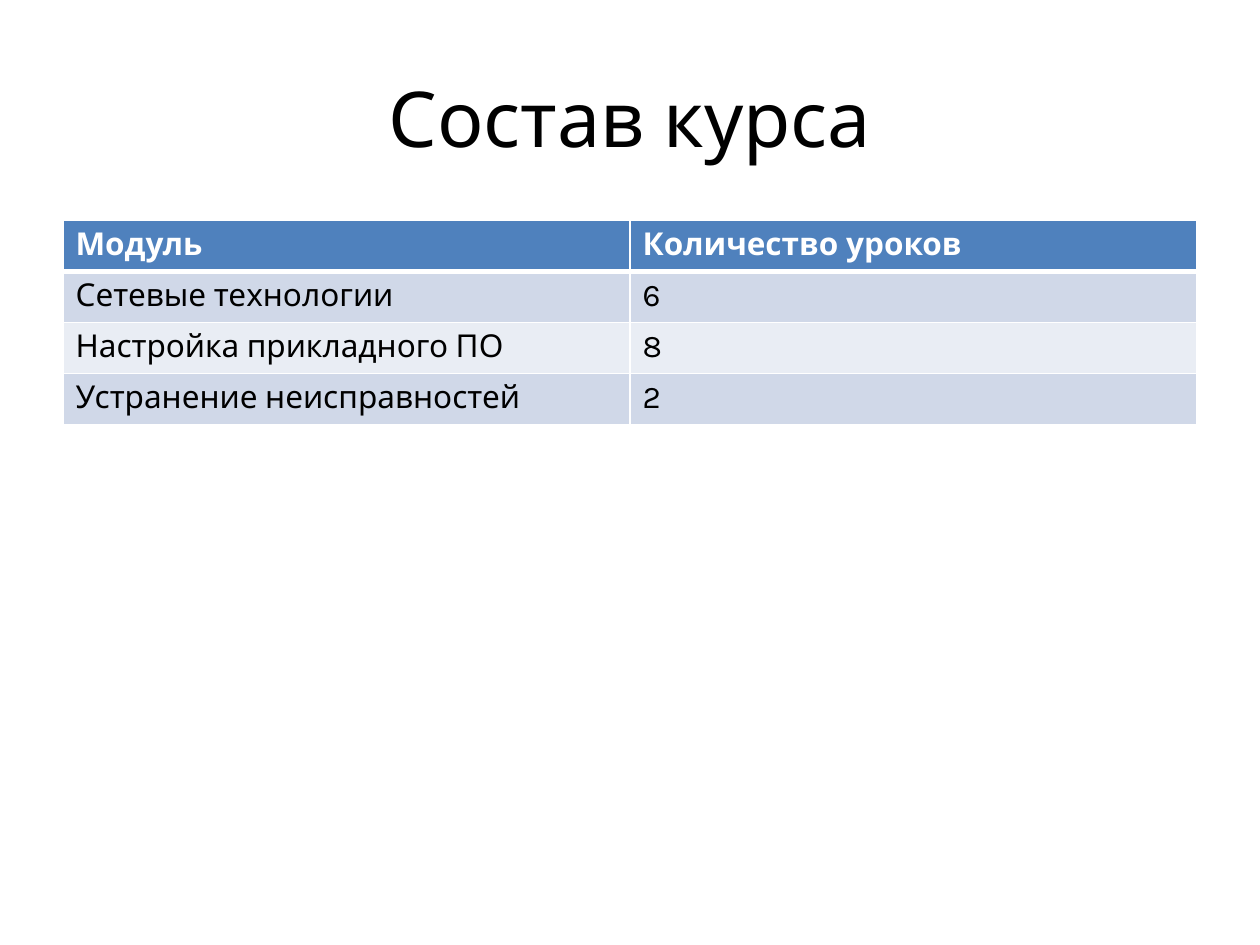
from lxml import etree
from pptx import Presentation
from pptx.dml.color import RGBColor
from pptx.enum.text import MSO_ANCHOR, PP_ALIGN
from pptx.oxml.ns import qn
from pptx.util import Inches, Pt

CENTER = PP_ALIGN.CENTER
MIDDLE = MSO_ANCHOR.MIDDLE

FONT = "Karla"
BLACK = RGBColor(0x00, 0x00, 0x00)
WHITE = RGBColor(0xFF, 0xFF, 0xFF)
HEADER_BLUE = RGBColor(0x4F, 0x81, 0xBD)
BAND_DARK = RGBColor(0xD0, 0xD8, 0xE8)
BAND_LIGHT = RGBColor(0xE9, 0xED, 0xF4)

THIN, THICK = Pt(1), Pt(3)

COURSE_MODULES = [
    ("Модуль", "Количество уроков"),
    ("Сетевые технологии", "6"),
    ("Настройка прикладного ПО", "8"),
    ("Устранение неисправностей", "2"),
]


def format_text(paragraph, size, color, bold=False):
    for run in paragraph.runs:
        run.font.name = FONT
        run.font.size = Pt(size)
        run.font.bold = bold
        run.font.color.rgb = color


def set_title(slide, text):
    title = slide.shapes.title
    title.left, title.top = Inches(0.5), Inches(0.3)
    title.width, title.height = Inches(9), Inches(1.25)
    frame = title.text_frame
    frame.text = text
    frame.vertical_anchor = MIDDLE
    frame.paragraphs[0].alignment = CENTER
    format_text(frame.paragraphs[0], 44, BLACK)


def set_borders(cell, top, bottom):
    """Draw white cell borders; call before filling, as lines precede the fill."""
    properties = cell._tc.get_or_add_tcPr()
    widths = {"a:lnL": THIN, "a:lnR": THIN, "a:lnT": top, "a:lnB": bottom}
    for tag, width in widths.items():
        line = etree.SubElement(properties, qn(tag), w=str(width))
        fill = etree.SubElement(line, qn("a:solidFill"))
        etree.SubElement(fill, qn("a:srgbClr"), val=str(WHITE))


def format_cell(cell, row):
    is_header = row == 0
    set_borders(cell, THICK if row == 1 else THIN, THICK if is_header else THIN)
    cell.fill.solid()
    if is_header:
        cell.fill.fore_color.rgb = HEADER_BLUE
    else:
        cell.fill.fore_color.rgb = BAND_DARK if row % 2 else BAND_LIGHT
    format_text(cell.text_frame.paragraphs[0], 18,
                WHITE if is_header else BLACK, bold=is_header)


def add_module_table(slide, modules):
    table = slide.shapes.add_table(
        len(modules), len(modules[0]),
        Inches(0.5), Inches(1.75), Inches(9), Inches(1.62)).table
    for row, values in enumerate(modules):
        for column, value in enumerate(values):
            cell = table.cell(row, column)
            cell.text_frame.text = value
            format_cell(cell, row)


def main():
    presentation = Presentation()
    presentation.slide_width = Inches(10)
    presentation.slide_height = Inches(7.5)
    slide = presentation.slides.add_slide(presentation.slide_layouts[5])
    set_title(slide, "Состав курса")
    add_module_table(slide, COURSE_MODULES)
    presentation.save("out.pptx")


if __name__ == "__main__":
    main()
